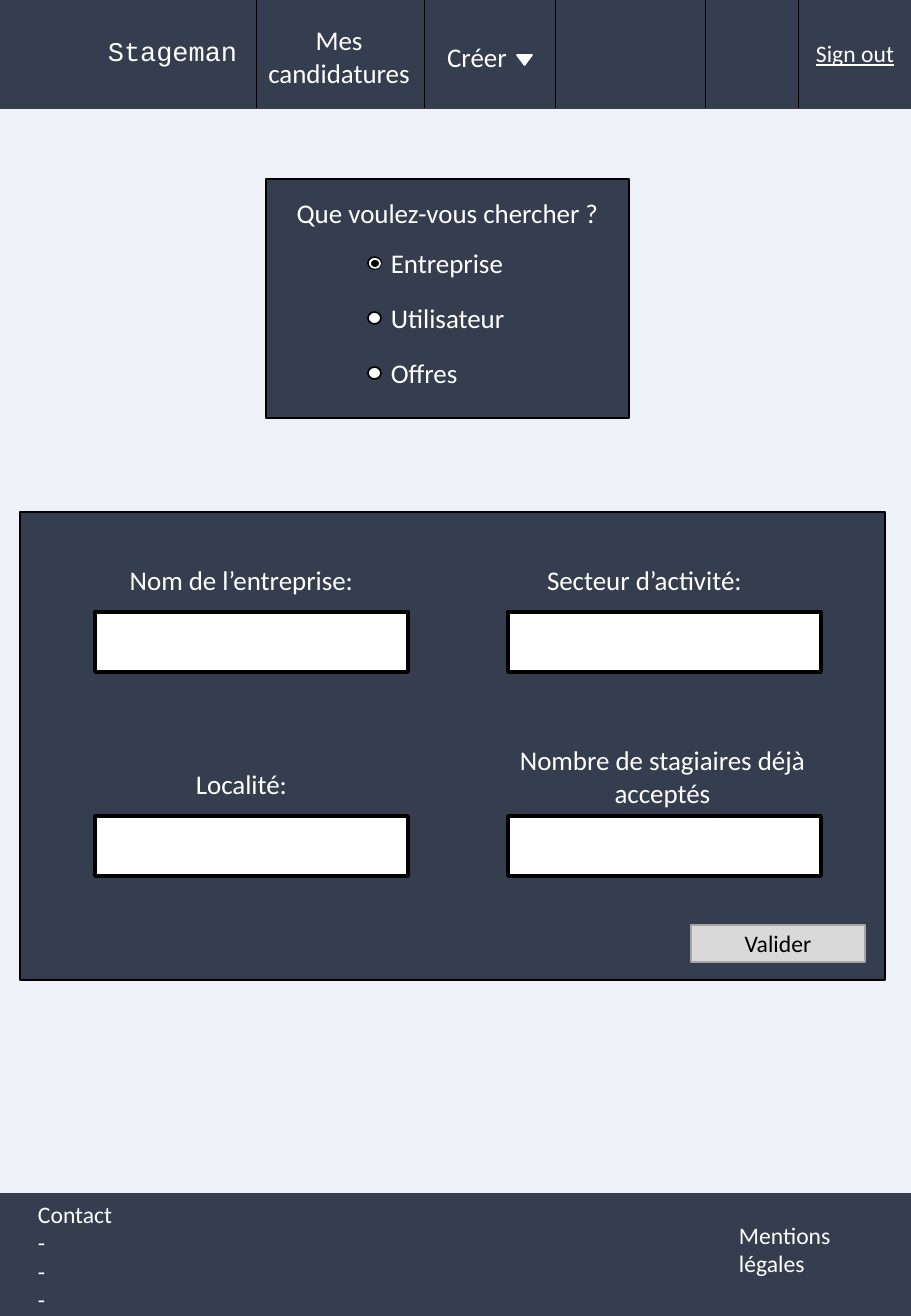
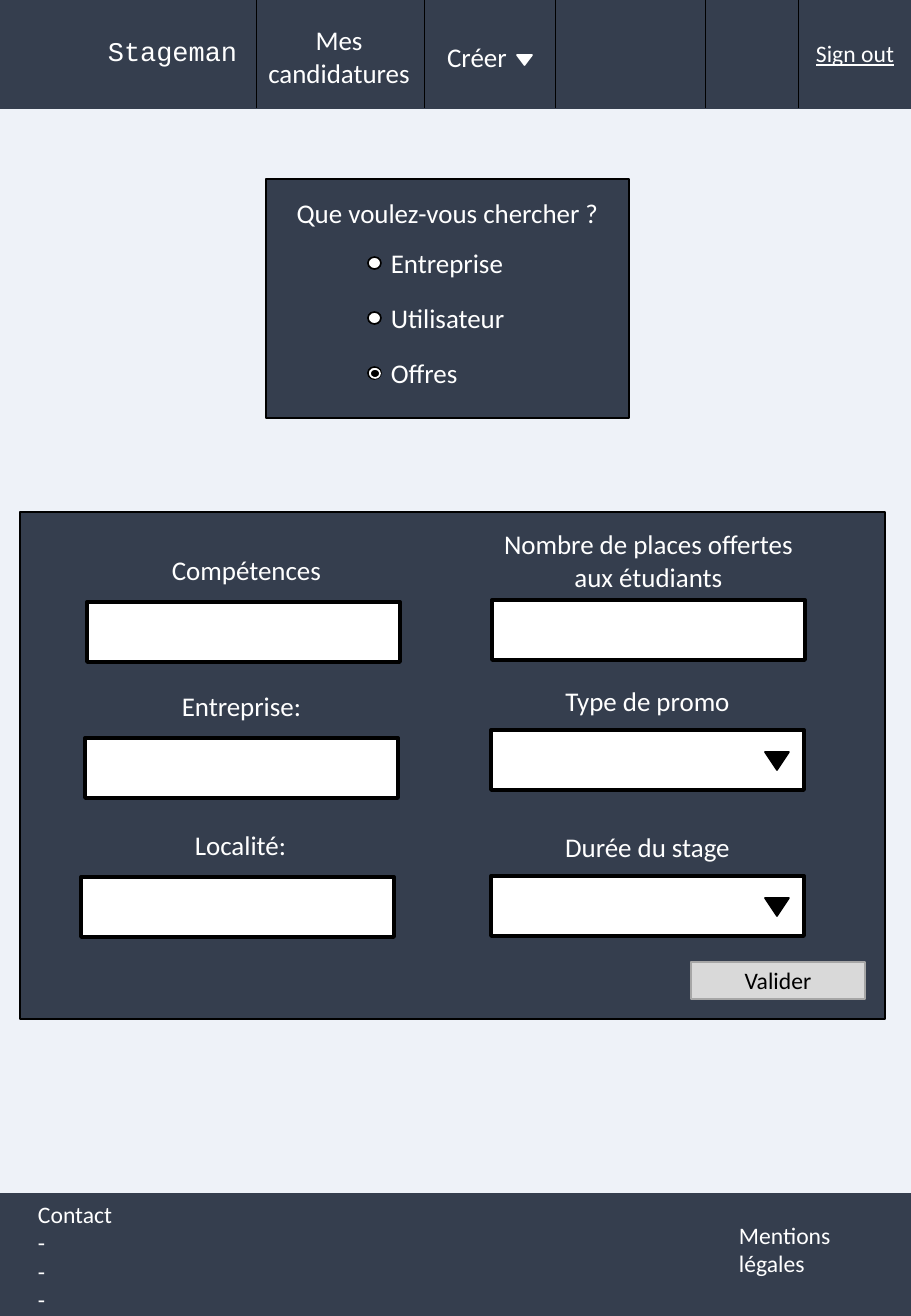
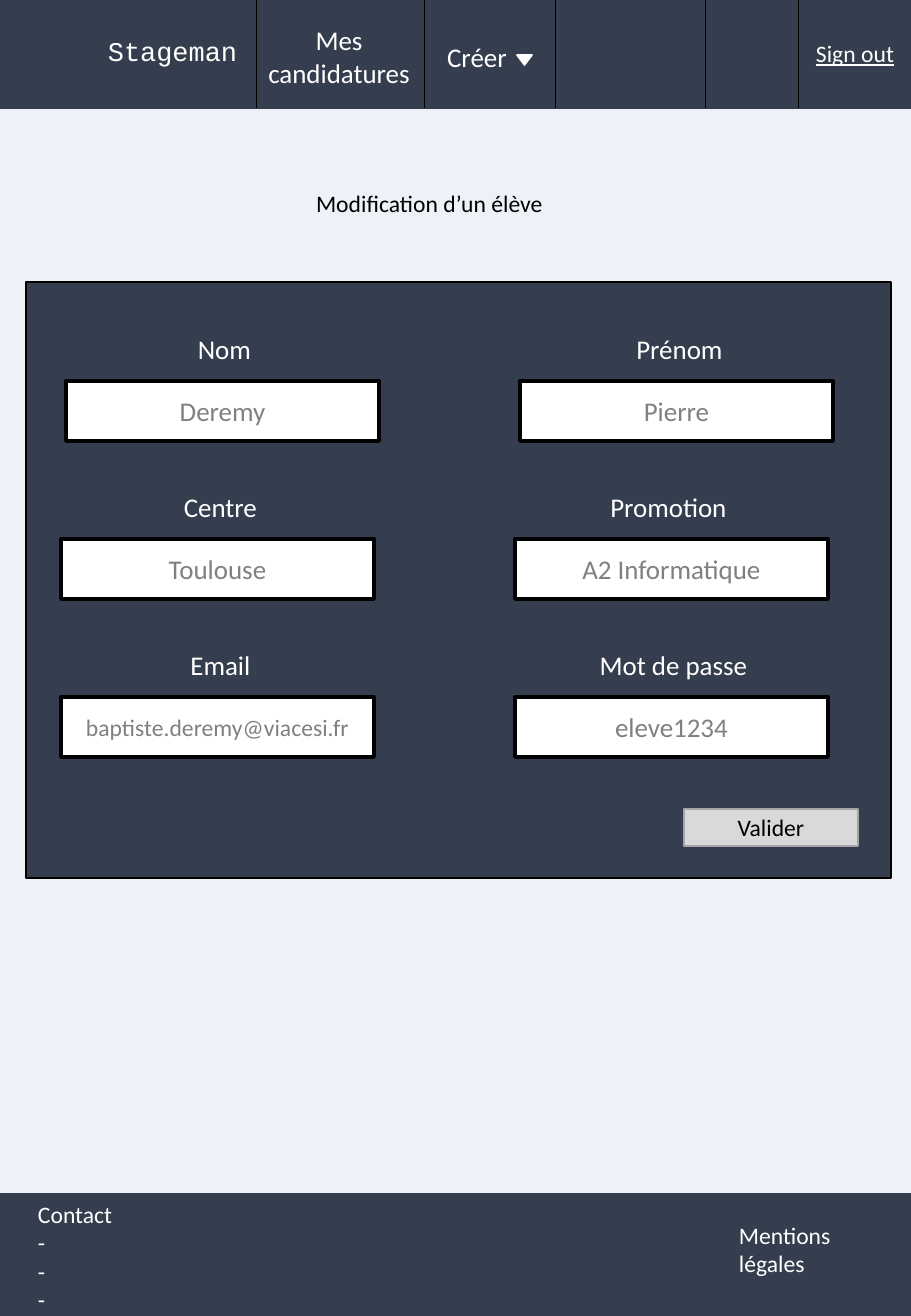
import dataclasses

import pptx
import pptx.dml.color
import pptx.enum.shapes
import pptx.enum.text
import pptx.oxml.ns
import pptx.util
from lxml import etree

EMU_PER_PX = 914400 / 121.5
SLIDE_WIDTH, SLIDE_HEIGHT = 911, 1316
COLORS = {
    "page": "EEF2F8",
    "navy": "353E4E",
    "white": "FFFFFF",
    "black": "000000",
    "hint": "808080",
    "button": "D9D9D9",
    "button_edge": "A6A6A6",
}
SHAPES = pptx.enum.shapes.MSO_SHAPE
ALIGN = pptx.enum.text.PP_ALIGN
ANCHOR = pptx.enum.text.MSO_ANCHOR
FIELD_WIDTH, FIELD_HEIGHT = 313, 60
LABEL_WIDTH = 323
LABEL_HEIGHTS = {1: 45, 2: 78}
LABEL_GAPS = {1: 9, 2: 0}
DROPDOWN_GAP = 6
RADIO_STEP = 55
SEARCH_CHOICES = ("Entreprise", "Utilisateur", "Offres")


@dataclasses.dataclass
class Field:
    """One input; label_shift moves the label's centre off the input's centre."""
    left: int
    top: int
    label: str
    label_shift: int = 0
    label_lines: int = 1
    value: str = ""
    value_size: int = 16
    dropdown: bool = False


def px(length):
    return pptx.util.Emu(round(length * EMU_PER_PX))


def color(name):
    return pptx.dml.color.RGBColor.from_string(COLORS[name])


class Mockup:
    """Holds the presentation, its style and the slide being drawn."""

    def __init__(self):
        self.presentation = pptx.Presentation()
        self.presentation.slide_width = px(SLIDE_WIDTH)
        self.presentation.slide_height = px(SLIDE_HEIGHT)
        background = self.presentation.slide_master.background.fill
        background.solid()
        background.fore_color.rgb = color("page")
        self.slide = None

    def new_page(self):
        layout = self.presentation.slide_layouts.get_by_name("Title Only")
        self.slide = self.presentation.slides.add_slide(layout)
        self.header()
        self.footer()

    def set_text(self, shape, text, size=16, ink="white", align=ALIGN.LEFT,
                 anchor=ANCHOR.TOP, font="Calibri", underline=None):
        frame = shape.text_frame
        frame.word_wrap = True
        frame.auto_size = pptx.enum.text.MSO_AUTO_SIZE.NONE
        frame.vertical_anchor = anchor
        frame.text = text
        for paragraph in frame.paragraphs:
            paragraph.alignment = align
            paragraph.font.name = font
            paragraph.font.size = pptx.util.Pt(size)
            paragraph.font.color.rgb = color(ink)
            paragraph.font.underline = underline

    def text(self, left, top, width, height, text, **style):
        box = self.slide.shapes.add_textbox(px(left), px(top), px(width), px(height))
        self.set_text(box, text, **style)

    def title(self, left, top, width, height, text, **style):
        """Fills the title placeholder and brings it in front of what is drawn so far."""
        title = self.slide.shapes.title
        title.left, title.top = px(left), px(top)
        title.width, title.height = px(width), px(height)
        self.set_text(title, text, align=ALIGN.CENTER, **style)
        self.slide.shapes.element.append(title.element)

    def shape(self, left, top, width, height, fill, edge, edge_width=1,
              kind=SHAPES.RECTANGLE):
        shape = self.slide.shapes.add_shape(
            kind, px(left), px(top), px(width), px(height))
        shape.shadow.inherit = False
        shape.fill.solid()
        shape.fill.fore_color.rgb = color(fill)
        shape.line.color.rgb = color(edge)
        shape.line.width = pptx.util.Pt(edge_width)
        return shape

    def down_arrow(self, left, top, width, height, fill):
        arrow = self.shape(left, top, width, height, fill, fill,
                           kind=SHAPES.ISOSCELES_TRIANGLE)
        arrow.rotation = 180

    def divider(self, x, bottom):
        line = self.slide.shapes.add_connector(
            pptx.enum.shapes.MSO_CONNECTOR.STRAIGHT, px(x), 0, px(x), px(bottom))
        line.line.color.rgb = color("black")
        line.line.width = pptx.util.Pt(0.5)
        etree.SubElement(line.element.spPr, pptx.oxml.ns.qn("a:effectLst"))

    def header(self):
        height = 108
        self.shape(0, 0, SLIDE_WIDTH, height, "navy", "navy")
        for x in (256, 424, 555, 705, 798):
            self.divider(x, height)
        self.text(96, 29, 197, 45, "Stageman", font="Courier New")
        self.text(248, 18, 182, 78, "Mes candidatures", align=ALIGN.CENTER)
        self.text(425, 35, 104, 45, "Créer", align=ALIGN.CENTER)
        self.down_arrow(517, 55, 15, 10, "white")
        self.text(804, 33, 107, 41, "Sign out", size=14, underline=True)

    def footer(self):
        top = 1194
        height = SLIDE_HEIGHT - top
        self.shape(0, top, SLIDE_WIDTH, height, "navy", "navy")
        self.text(26, top, 159, height, "Contact\n-\n-\n-", size=14)
        self.text(727, top + 21, 159, 69, "Mentions légales", size=14)

    def search_panel(self, selected):
        self.shape(266, 179, 363, 239, "navy", "black")
        self.title(266, 190, 363, 45, "Que voulez-vous chercher ?")
        for index, choice in enumerate(SEARCH_CHOICES):
            shift = index * RADIO_STEP
            self.radio(368, 257 + shift, choice == selected)
            self.text(379, 241 + shift, 139, 45, choice)

    def radio(self, left, top, selected):
        self.shape(left, top, 13, 12, "white", "black", kind=SHAPES.OVAL)
        if selected:
            self.shape(left + 2, top + 2, 10, 9, "black", "white", kind=SHAPES.OVAL)

    def field(self, field):
        box = self.shape(field.left, field.top, FIELD_WIDTH, FIELD_HEIGHT,
                         "white", "black", 2.25)
        if field.value:
            self.set_text(box, field.value, size=field.value_size, ink="hint",
                          align=ALIGN.CENTER, anchor=ANCHOR.MIDDLE)
        if field.dropdown:
            self.down_arrow(field.left + 274, field.top + 22, 24, 18, "black")
        gap = DROPDOWN_GAP if field.dropdown else LABEL_GAPS[field.label_lines]
        height = LABEL_HEIGHTS[field.label_lines]
        left = field.left + (FIELD_WIDTH - LABEL_WIDTH) // 2 + field.label_shift
        self.text(left, field.top - gap - height, LABEL_WIDTH, height,
                  field.label, align=ALIGN.CENTER)

    def form(self, left, top, height, button_left, button_top, fields):
        self.shape(left, top, 865, height, "navy", "black")
        for field in fields:
            self.field(field)
        button = self.shape(button_left, button_top, 174, 37, "button", "button_edge")
        self.set_text(button, "Valider", size=14, ink="black",
                      align=ALIGN.CENTER, anchor=ANCHOR.MIDDLE)


def main():
    mockup = Mockup()

    mockup.new_page()
    mockup.search_panel("Entreprise")
    mockup.form(20, 512, 468, 691, 925, [
        Field(95, 612, "Nom de l’entreprise:", -10),
        Field(508, 612, "Secteur d’activité:", -20),
        Field(95, 816, "Localité:", -10),
        Field(508, 816, "Nombre de stagiaires déjà acceptés", -2, label_lines=2),
    ])

    mockup.new_page()
    mockup.search_panel("Offres")
    mockup.form(20, 512, 507, 691, 962, [
        Field(87, 602, "Compétences", 3),
        Field(85, 738, "Entreprise:"),
        Field(81, 877, "Localité:", 3),
        Field(492, 600, "Nombre de places offertes aux étudiants", label_lines=2),
        Field(491, 730, "Type de promo", dropdown=True),
        Field(491, 876, "Durée du stage", dropdown=True),
    ])

    mockup.new_page()
    mockup.title(220, 183, 419, 41, "Modification d’un élève", size=14, ink="black")
    mockup.form(26, 282, 596, 684, 809, [
        Field(66, 381, "Nom", 2, value="Deremy"),
        Field(520, 381, "Prénom", 3, value="Pierre"),
        Field(61, 539, "Centre", 3, value="Toulouse"),
        Field(515, 539, "Promotion", -3, value="A2 Informatique"),
        Field(61, 697, "Email", 3, value="baptiste.deremy@viacesi.fr", value_size=14),
        Field(515, 697, "Mot de passe", 2, value="eleve1234"),
    ])

    mockup.presentation.save("out.pptx")


if __name__ == "__main__":
    main()
